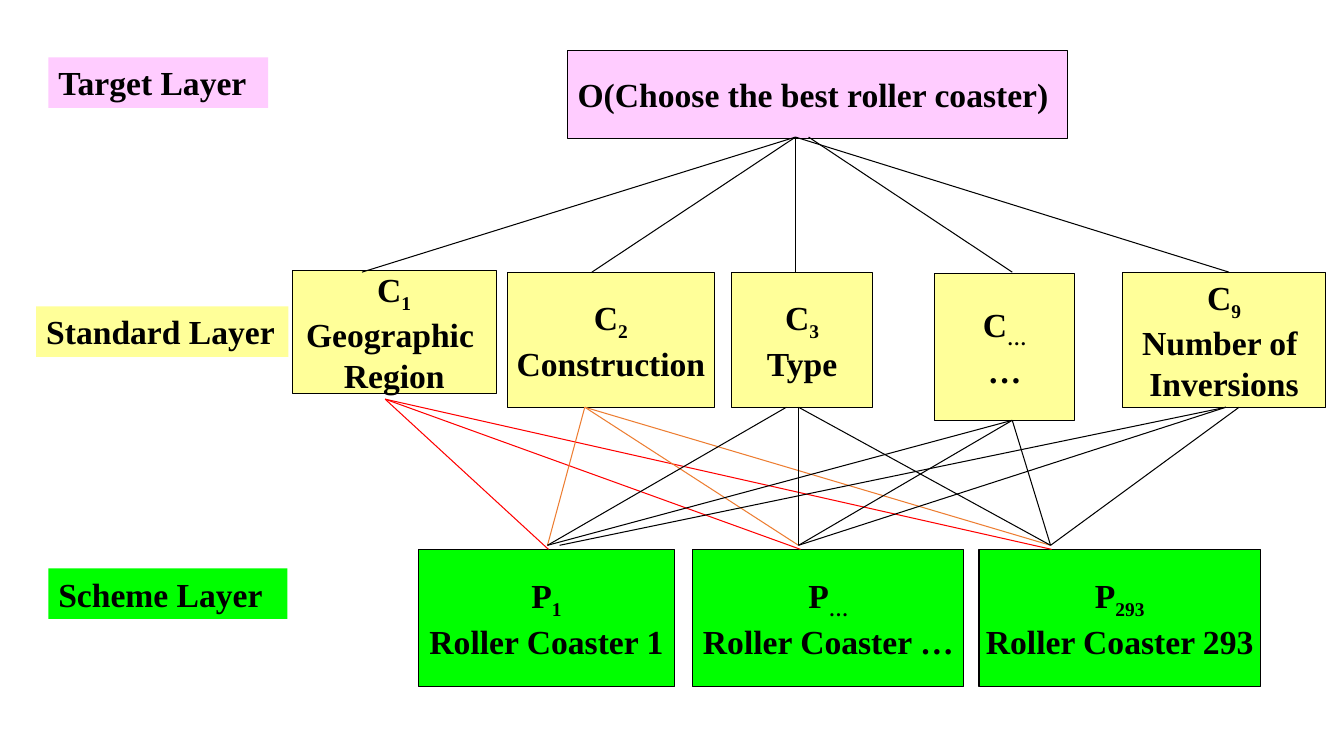
from dataclasses import dataclass

from lxml.etree import SubElement
from pptx import Presentation
from pptx.dml.color import RGBColor
from pptx.enum.shapes import MSO_CONNECTOR, MSO_SHAPE
from pptx.enum.text import MSO_ANCHOR, PP_ALIGN
from pptx.oxml.ns import qn
from pptx.slide import Slide
from pptx.util import Pt

EMU_PER_PX = 9144  # 100 px to the inch
COLORS = {
    "target": "FFCCFF",
    "standard": "FFFF99",
    "scheme": "00FF00",
    "black": "000000",
    "red": "FF0000",
    "orange": "ED7D31",
}
FONT_FORMAT = {"name": "Times New Roman", "size": Pt(24), "bold": True}
LINE_WIDTH = Pt(0.75)

Point = tuple[int, int]


@dataclass(frozen=True)
class Box:
    left: int
    top: int
    width: int
    height: int
    layer: str
    lines: tuple[str, ...]
    subscript: str = ""
    outlined: bool = True
    align: PP_ALIGN = PP_ALIGN.CENTER


@dataclass(frozen=True)
class Fan:
    """Lines from one criterion to the three schemes."""
    starts: tuple[Point, Point, Point]
    ends: tuple[Point, Point, Point]
    color: str = "black"


def layer_label(left: int, top: int, width: int, layer: str) -> Box:
    return Box(left, top, width, 50, layer, (f"{layer.title()} Layer",),
               outlined=False, align=PP_ALIGN.LEFT)


def criterion(left: int, top: int, width: int, height: int,
              subscript: str, *name: str) -> Box:
    return Box(left, top, width, height, "standard", ("C", *name), subscript)


def scheme(left: int, width: int, subscript: str) -> Box:
    return Box(left, 545, width, 136, "scheme",
               ("P", f"Roller Coaster {subscript}"), subscript)


BOXES = (
    layer_label(48, 57, 218, "target"),
    layer_label(36, 304, 250, "standard"),
    layer_label(48, 564, 237, "scheme"),
    Box(563, 50, 496, 87, "target", ("O(Choose the best roller coaster)",),
        align=PP_ALIGN.LEFT),
    criterion(290, 268, 202, 122, "1", "Geographic ", "Region"),
    criterion(503, 270, 206, 134, "2", "Construction"),
    criterion(726, 270, 139, 134, "3", "Type"),
    criterion(927, 271, 139, 146, "…", "…"),
    criterion(1113, 270, 202, 134, "9", "Number of ", "Inversions"),
    scheme(415, 254, "1"),
    scheme(687, 269, "…"),
    scheme(971, 279, "293"),
)

TARGET_BOTTOM, CRITERIA_TOP = 136, 270
TARGET_LINES = ((789, 359), (789, 587), (789, 789), (802, 1004), (789, 1219))

SCHEME_TOPS = ((543, 541), (792, 541), (1042, 541))
FANS = (
    Fan(((382, 396),) * 3, ((544, 545), (794, 545), (1043, 545)), "red"),
    Fan(((580, 404),) * 3, SCHEME_TOPS, "orange"),
    Fan(((780, 404), (792, 404), (792, 404)), SCHEME_TOPS),
    Fan(((1004, 417),) * 3, SCHEME_TOPS),
    Fan(((1216, 404), (1216, 404), (1229, 404)),
        ((555, 541), *SCHEME_TOPS[1:])),
)


def px(length: int) -> int:
    return length * EMU_PER_PX


def rgb(name: str) -> RGBColor:
    return RGBColor.from_string(COLORS[name])


def add_run(paragraph, text: str, subscript: bool = False) -> None:
    run = paragraph.add_run()
    run.text = text
    for name, value in FONT_FORMAT.items():
        setattr(run.font, name, value)
    run.font.color.rgb = rgb("black")
    if subscript:
        run._r.get_or_add_rPr().set("baseline", "-25000")


def draw_box(slide: Slide, box: Box) -> None:
    shape = slide.shapes.add_shape(
        MSO_SHAPE.RECTANGLE,
        *map(px, (box.left, box.top, box.width, box.height)))
    shape.shadow.inherit = False
    shape.fill.solid()
    shape.fill.fore_color.rgb = rgb(box.layer)
    if box.outlined:
        shape.line.color.rgb = rgb("black")
        shape.line.width = LINE_WIDTH
    else:
        shape.line.fill.background()

    frame = shape.text_frame
    frame.word_wrap = not box.outlined
    frame.vertical_anchor = MSO_ANCHOR.MIDDLE if box.outlined else MSO_ANCHOR.TOP
    for index, text in enumerate(box.lines):
        paragraph = frame.add_paragraph() if index else frame.paragraphs[0]
        paragraph.alignment = box.align
        add_run(paragraph, text)
        if index == 0 and box.subscript:
            add_run(paragraph, box.subscript, subscript=True)


def draw_line(slide: Slide, start: Point, end: Point, color: str) -> None:
    connector = slide.shapes.add_connector(
        MSO_CONNECTOR.STRAIGHT, *map(px, (*start, *end)))
    connector.line.color.rgb = rgb(color)
    connector.line.width = LINE_WIDTH
    SubElement(connector._element.spPr, qn("a:effectLst"))


def main() -> None:
    presentation = Presentation()
    presentation.slide_width = px(1333)
    presentation.slide_height = px(750)
    slide = presentation.slides.add_slide(presentation.slide_layouts[6])
    for box in BOXES:
        draw_box(slide, box)
    for start_x, end_x in TARGET_LINES:
        draw_line(slide, (start_x, TARGET_BOTTOM), (end_x, CRITERIA_TOP), "black")
    for fan in FANS:
        for start, end in zip(fan.starts, fan.ends):
            draw_line(slide, start, end, fan.color)
    presentation.save("out.pptx")


if __name__ == "__main__":
    main()
